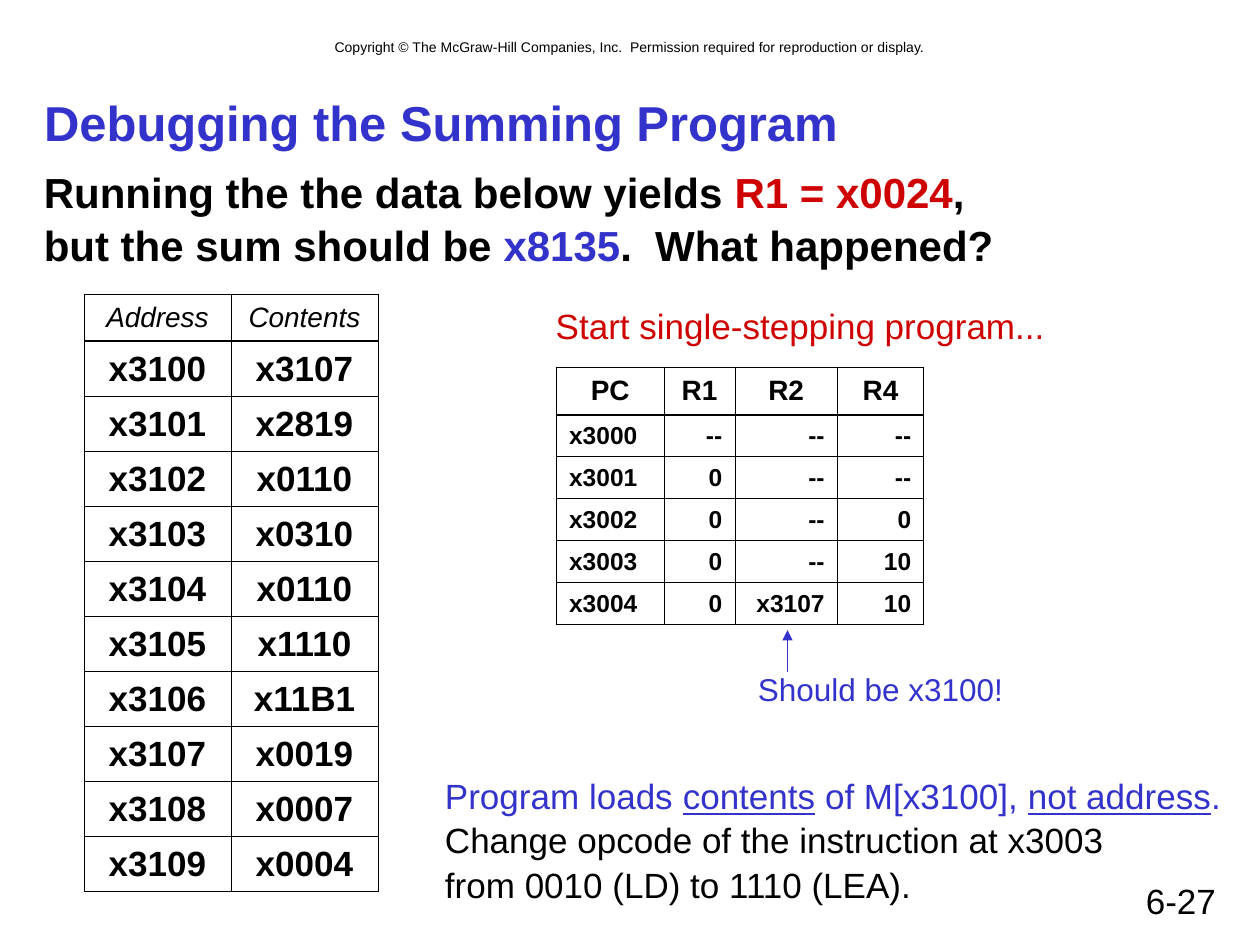
from lxml.etree import SubElement
from pptx import Presentation
from pptx.dml.color import RGBColor
from pptx.enum.shapes import MSO_CONNECTOR as Conn
from pptx.enum.text import MSO_ANCHOR as Anchor, MSO_AUTO_SIZE as Auto, PP_ALIGN as Align
from pptx.oxml import parse_xml
from pptx.oxml.ns import nsdecls, qn
from pptx.util import Inches, Pt

BLACK, BLUE, RED = "000000", "3333CC", "CE0000"
MEMORY = [("Address", "Contents"), ("x3100", "x3107"), ("x3101", "x2819"),
          ("x3102", "x0110"), ("x3103", "x0310"), ("x3104", "x0110"),
          ("x3105", "x1110"), ("x3106", "x11B1"), ("x3107", "x0019"),
          ("x3108", "x0007"), ("x3109", "x0004")]
TRACE = [("PC", "R1", "R2", "R4"), ("x3000", "--", "--", "--"),
         ("x3001", "0", "--", "--"), ("x3002", "0", "--", "0"),
         ("x3003", "0", "--", "10"), ("x3004", "0", "x3107", "10")]


def color(value):
    return RGBColor.from_string(value)


class Deck:
    """Style and current slide, on a grid of 120 columns by 90 rows."""

    font, spacing, thin, thick = "Arial", 1.05, 0.5, 1.5

    def __init__(self, prs):
        self.unit = prs.slide_width / 120
        self.s = prs.slides.add_slide(prs.slide_layouts[5])

    def grid(self, *values):
        return [round(v * self.unit) for v in values]

    def add_text(self, p, text, size, fill=BLACK, bold=False, italic=False, underline=False):
        for i, line in enumerate(text.split("\n")):
            if i:
                p.add_line_break()
            r = p.add_run()
            r.text = line
            f = r.font
            f.name, f.size, f.bold, f.italic = self.font, Pt(size), bold, italic
            f.underline = underline
            f.color.rgb = color(fill)

    def fill_frame(self, tf, paragraphs, size, align=Align.LEFT, bold=False, italic=False):
        for i, runs in enumerate(paragraphs):
            p = tf.add_paragraph() if i else tf.paragraphs[0]
            p.alignment, p.line_spacing = align, self.spacing
            p.space_before = Pt(0)
            for text, fill, *underline in runs:
                self.add_text(p, text, size, fill, bold, italic, bool(underline))

    def title(self, box, text, size):
        sp = self.s.shapes.title
        sp.left, sp.top, sp.width, sp.height = self.grid(*box)
        sp.text_frame.vertical_anchor = Anchor.MIDDLE
        self.fill_frame(sp.text_frame, [[(text, BLUE)]], size, bold=True)

    def text(self, box, paragraphs, size, wrap=True, **style):
        tf = self.s.shapes.add_textbox(*self.grid(*box)).text_frame
        tf.word_wrap = wrap
        tf.auto_size = Auto.NONE if wrap else Auto.SHAPE_TO_FIT_TEXT
        self.fill_frame(tf, paragraphs, size, **style)

    def borders(self, cell, row):
        cell.fill.background()
        widths = {"L": self.thin, "R": self.thin,
                  "T": self.thick if row == 1 else self.thin,
                  "B": self.thick if row == 0 else self.thin}
        for i, (side, width) in enumerate(widths.items()):
            cell._tc.get_or_add_tcPr().insert(i, parse_xml(
                f'<a:ln{side} {nsdecls("a")} w="{Pt(width)}"><a:solidFill>'
                f'<a:srgbClr val="{BLACK}"/></a:solidFill></a:ln{side}>'))

    def table(self, left, top, data, columns, head_row, body_row, head, body, aligns):
        heights = [head_row] + [body_row] * (len(data) - 1)
        box = self.grid(left, top, sum(columns), sum(heights))
        table = self.s.shapes.add_table(len(data), len(columns), *box).table
        table.first_row = table.horz_banding = False
        for column, width in zip(table.columns, self.grid(*columns)):
            column.width = width
        for i, (row, height) in enumerate(zip(table.rows, self.grid(*heights))):
            row.height = height
            for cell, text, align in zip(row.cells, data[i], aligns):
                style = body if i else head
                self.fill_frame(cell.text_frame, [[(text, BLACK)]],
                                align=align if i else Align.CENTER, **style)
                self.borders(cell, i)

    def arrow(self, start, end, fill):
        c = self.s.shapes.add_connector(Conn.STRAIGHT, *self.grid(*start, *end))
        c.line.color.rgb, c.line.width = color(fill), Pt(0.75)
        SubElement(c.line._get_or_add_ln(), qn("a:tailEnd"), type="triangle")
        SubElement(c._element.spPr, qn("a:effectLst"))


def main():
    prs = Presentation()
    prs.slide_width, prs.slide_height = Inches(10), Inches(7.5)
    d = Deck(prs)
    d.text((8, 3, 104, 3), [[("Copyright © The McGraw-Hill Companies, Inc.  Permission required "
                              "for reproduction or display.", BLACK)]], 8, align=Align.CENTER)
    d.text((86, 83, 31, 5), [[("6-27", BLACK)]], 20, align=Align.RIGHT)
    d.title((3, 8, 114, 7), "Debugging the Summing Program", 28)
    d.text((3, 15, 114, 12), [[
        ("Running the the data below yields ", BLACK), ("R1 = x0024", RED),
        (",\nbut the sum should be ", BLACK), ("x8135", BLUE),
        (".  What happened?", BLACK)]], 24, bold=True)
    d.table(8, 28, MEMORY, [14, 14], 4.5, 5.24, {"size": 16, "italic": True},
            {"size": 20, "bold": True}, [Align.CENTER] * 2)
    d.table(53, 35, TRACE, [10.25, 6.75, 9.75, 8.25], 4.5, 4, {"size": 16, "bold": True},
            {"size": 14, "bold": True}, [Align.LEFT] + [Align.RIGHT] * 3)
    d.text((51.75, 28.25, 49, 5.25), [[("Start single-stepping program...", RED)]], 20, wrap=False)
    d.text((71, 63, 25.75, 4.75), [[("Should be x3100!", BLUE)]], 18, wrap=False)
    d.arrow((75, 64), (75, 60), BLUE)
    d.text((41.2, 73, 76.3, 13.25), [
        [("Program loads ", BLUE), ("contents", BLUE, True), (" of M[x3100], ", BLUE),
         ("not address", BLUE, True), (".", BLUE)],
        [("Change opcode of the instruction at x3003\nfrom 0010 (LD) to 1110 (LEA).", BLACK)]],
        20, wrap=False)
    prs.save("out.pptx")


if __name__ == "__main__":
    main()
